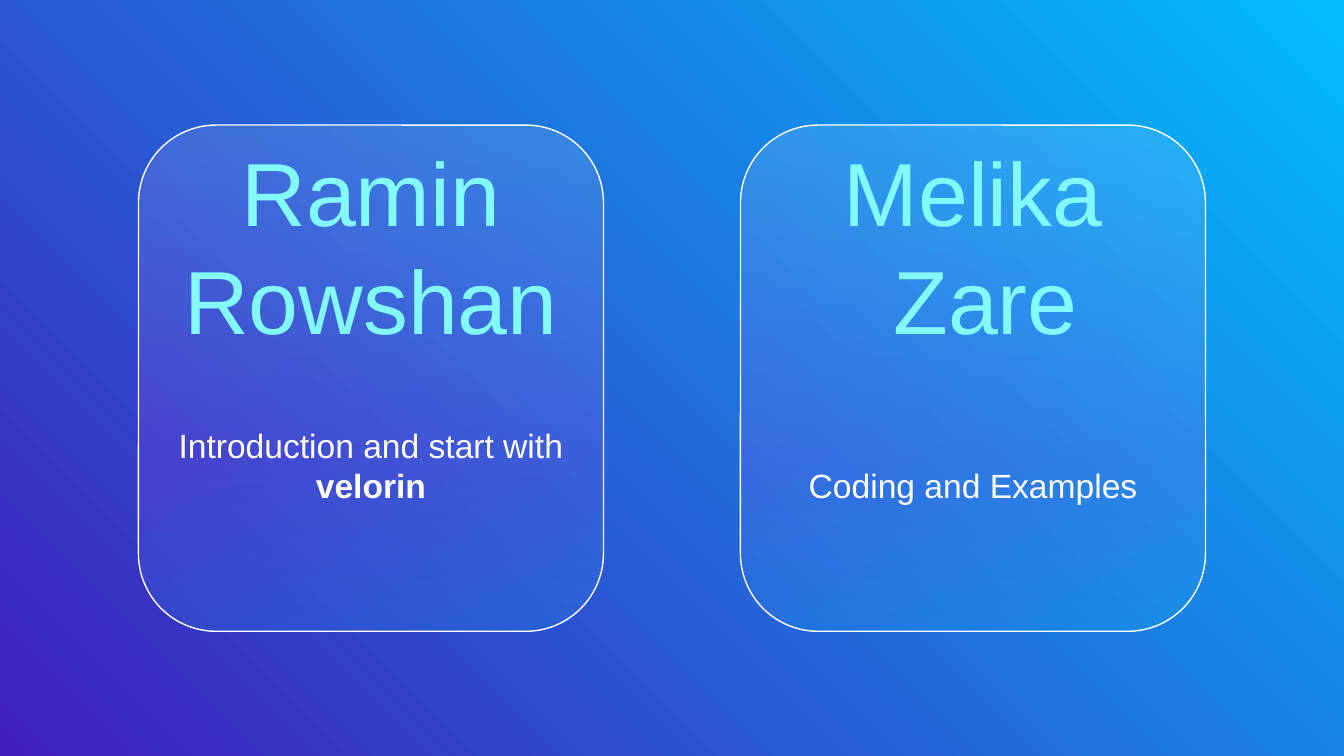
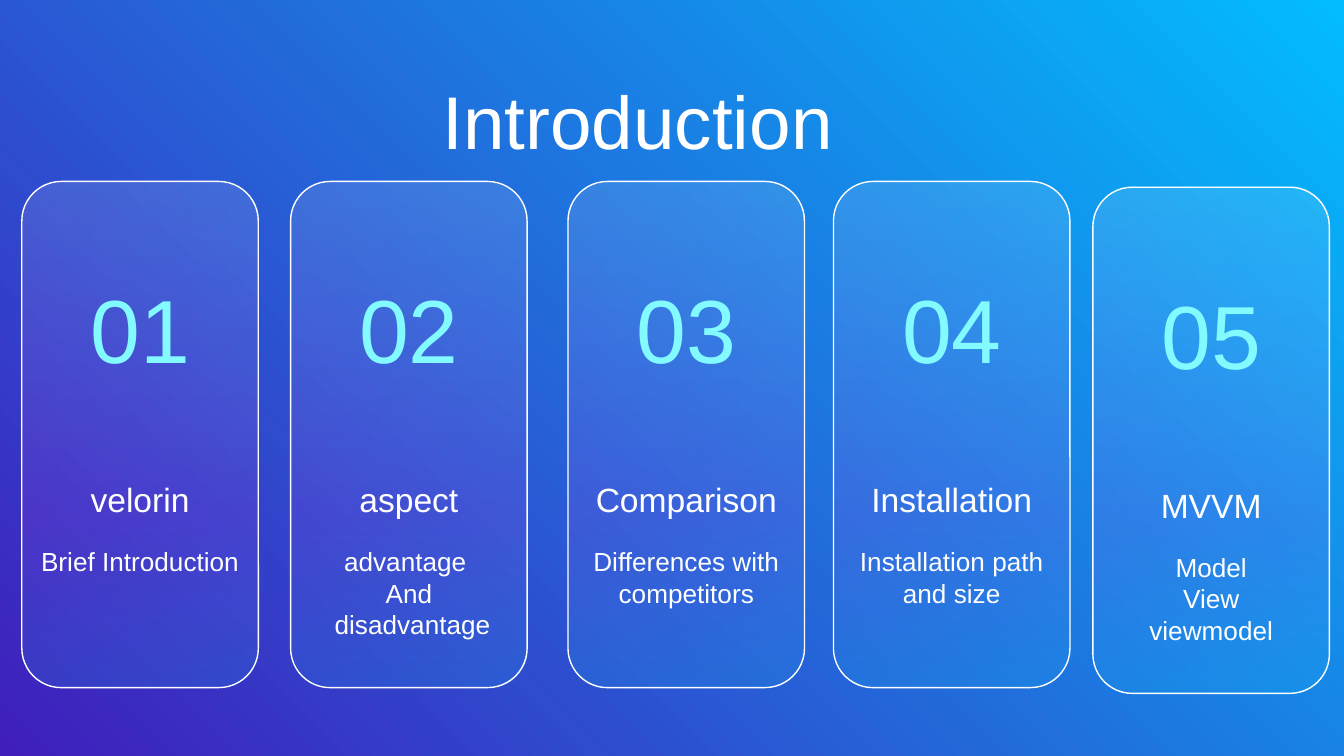
from dataclasses import dataclass

from lxml import etree
from pptx import Presentation
from pptx.dml.color import RGBColor
from pptx.enum import shapes, text
from pptx.oxml.ns import qn
from pptx.util import Pt


@dataclass(frozen=True)
class Theme:
    font: str = "Arial"
    white: str = "FFFFFF"
    cyan: str = "83FAFF"
    backdrop: tuple = ("401EBB", "02BCFD")
    glass: tuple = ((0, "FFFFFF"), (66, "E354F7"), (100, "10ECFF"))
    glass_alpha: int = 11
    huge: int = 48
    title: int = 40
    heading: int = 18
    detail: int = 14
    spacing: float = 1.0
    inset: float = 7.2
    card_height: float = 271.2


theme = Theme()
BOTTOM, TOP = text.MSO_ANCHOR.BOTTOM, text.MSO_ANCHOR.TOP
# Text styles: size, colour, anchor
HUGE = (theme.huge, theme.cyan, BOTTOM)
TITLE = (theme.title, theme.white, TOP)
HEADING = (theme.heading, theme.white, BOTTOM)
DETAIL = (theme.detail, theme.white, TOP)
FRAMEWORK = "velorin"


def add_card(page, left, top, width):
    """Rounded glass card with a translucent vertical gradient."""
    card = page.shapes.add_shape(
        shapes.MSO_SHAPE.ROUNDED_RECTANGLE,
        Pt(left), Pt(top), Pt(width), Pt(theme.card_height))
    card.shadow.inherit = False
    card.adjustments[0] = 0.167
    card.line.color.rgb = RGBColor.from_string(theme.white)
    card.line.width = Pt(0.75)
    card.fill.gradient()
    card.fill.gradient_angle = 270
    stops = card.element.spPr.find(".//" + qn("a:gsLst"))
    stops.clear()
    for position, colour in theme.glass:
        stop = etree.SubElement(stops, qn("a:gs"), pos=str(position * 1000))
        tint = etree.SubElement(stop, qn("a:srgbClr"), val=colour)
        etree.SubElement(tint, qn("a:alpha"), val=str(theme.glass_alpha * 1000))


def write(page, area, style, paragraphs, box=None, bold=""):
    """Fill a text box or placeholder; newlines inside a paragraph are breaks."""
    left, top, width, height = (Pt(length) for length in area)
    if box is None:
        box = page.shapes.add_textbox(left, top, width, height)
    else:
        box.left, box.top, box.width, box.height = left, top, width, height
        box.element.getparent().append(box.element)  # bring above the cards
    size, colour, anchor = style
    frame = box.text_frame
    frame.word_wrap = True
    frame.auto_size = text.MSO_AUTO_SIZE.NONE
    frame.vertical_anchor = anchor
    frame.margin_left = frame.margin_right = Pt(theme.inset)
    frame.margin_top = frame.margin_bottom = Pt(theme.inset)
    for index, content in enumerate(paragraphs):
        para = frame.add_paragraph() if index else frame.paragraphs[0]
        para.alignment = text.PP_ALIGN.CENTER
        para.line_spacing = theme.spacing
        for number, line in enumerate(content.split("\n")):
            if number:
                para.add_line_break()
            span = para.add_run()
            span.text = line
            span.font.name = theme.font
            span.font.size = Pt(size)
            span.font.bold = line == bold
            span.font.color.rgb = RGBColor.from_string(colour)


# Deck with the shared gradient on the master
deck = Presentation()
deck.slide_width, deck.slide_height = Pt(720), Pt(405)
backdrop = deck.slide_master.background.fill
backdrop.gradient()
backdrop.gradient_angle = 45
for stop, colour in zip(backdrop.gradient_stops, theme.backdrop):
    stop.color.rgb = RGBColor.from_string(colour)
title_only = deck.slide_layouts[5]

# Slide 1: the two presenters
page = deck.slides.add_slide(title_only)
presenters = [
    (74.2, 80.6, 236.2, "Ramin Rowshan",
     f"Introduction and start with\n{FRAMEWORK}"),
    (396.7, 406.8, 229, "Melika\n Zare", "Coding and Examples"),
]
title = page.shapes.title
for card_left, text_left, text_width, name, topic in presenters:
    add_card(page, card_left, 67, 249.1)
    write(page, (text_left, 112.3, text_width, 83.5), HUGE, [name], title)
    write(page, (text_left, 231.8, text_width, 46.1), HEADING, [topic],
          bold=FRAMEWORK)
    title = None  # only the first name uses the title placeholder

# Slide 2: agenda in five cards, the last one slightly lower
page = deck.slides.add_slide(title_only)
write(page, (58.3, 33.1, 566.6, 64.8), TITLE, ["Introduction"],
      page.shapes.title)
agenda = [
    (11.7, 97.2, FRAMEWORK, ["Brief Introduction"]),
    (155.7, 97.2, "aspect", ["advantage ", "And", " disadvantage"]),
    (304.3, 97.2, "Comparison", ["Differences with competitors"]),
    (446.5, 97.2, "Installation", ["Installation path and size"]),
    (585.5, 100.3, "MVVM", ["Model", "View", "viewmodel"]),
]
for number, (left, top, heading, details) in enumerate(agenda, 1):
    add_card(page, left, top, 126.7)
    write(page, (left + 7.6, top + 31.1, 111.6, 83.5), HUGE, [f"{number:02}"])
    write(page, (left + 1.8, top + 142, 123.1, 46.1), HEADING, [heading])
    write(page, (left + 1.8, top + 187.9, 123.1, 64.8), DETAIL, details)

deck.save("out.pptx")
